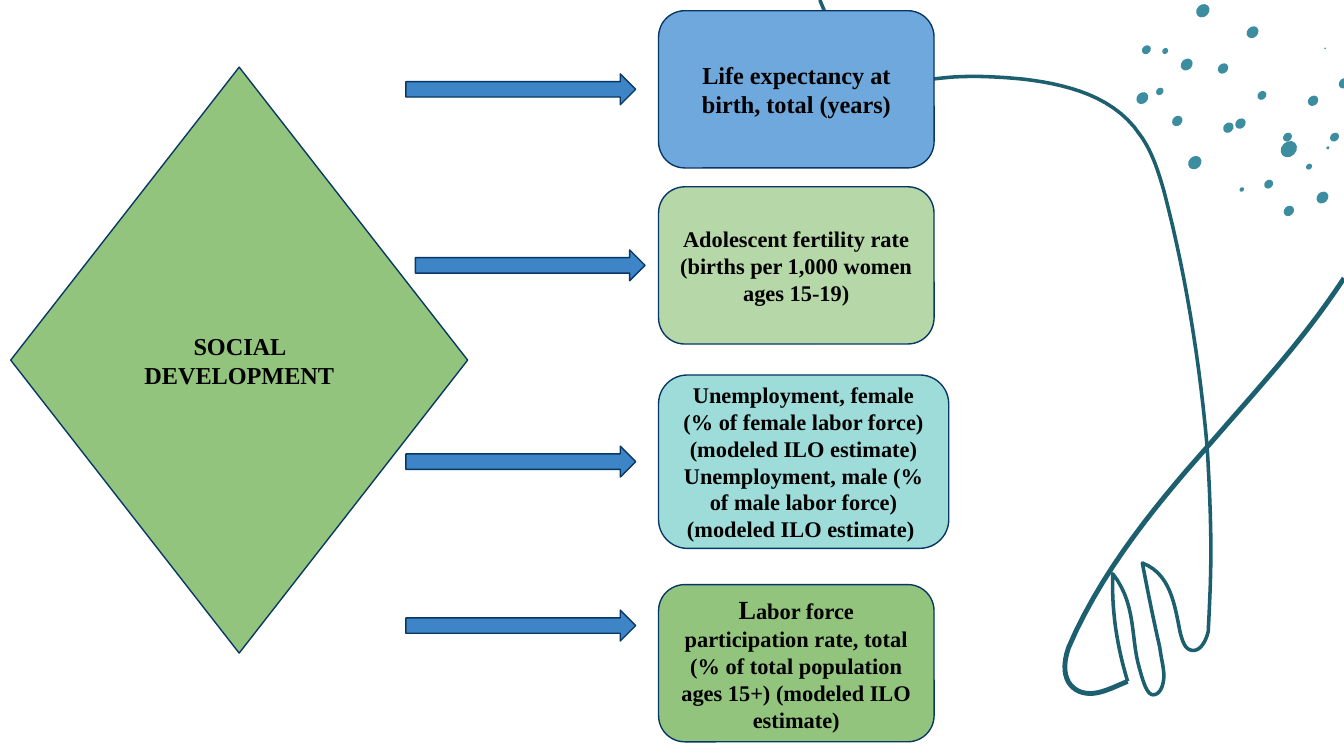
from pptx import Presentation
from pptx.dml.color import RGBColor
from pptx.enum.shapes import MSO_SHAPE
from pptx.enum.text import MSO_ANCHOR, PP_ALIGN
from pptx.util import Inches, Pt

DIAMOND = MSO_SHAPE.DIAMOND
ROUNDED = MSO_SHAPE.ROUNDED_RECTANGLE
ARROW = MSO_SHAPE.RIGHT_ARROW
OVAL = MSO_SHAPE.OVAL
MIDDLE = MSO_ANCHOR.MIDDLE
CENTER = PP_ALIGN.CENTER

BLACK = RGBColor(0x00, 0x00, 0x00)
NAVY = RGBColor(0x07, 0x37, 0x63)
GREEN = RGBColor(0x93, 0xC4, 0x7D)
PALE_GREEN = RGBColor(0xB6, 0xD7, 0xA8)
BLUE = RGBColor(0x6F, 0xA8, 0xDC)
AQUA = RGBColor(0x9E, 0xDC, 0xD9)
ARROW_BLUE = RGBColor(0x3D, 0x85, 0xC6)
DOT_TEAL = RGBColor(0x3C, 0x8D, 0xA0)
STROKE_TEAL = RGBColor(0x1C, 0x5F, 0x6F)

FONT = "Times New Roman"
CURVE_STEPS = 14
SLIDE_WIDTH = Inches(10)
SLIDE_HEIGHT = SLIDE_WIDTH * 9 // 16

DOTS = [
    (1.49, 1.11, 0.11), (1.64, 1.24, 0.04), (1.78, 1.1, 0.02),
    (1.83, 1.02, 0.06), (1.67, 0.75, 0.07), (1.48, 1.02, 0.06),
    (1.29, 0.71, 0.06), (1.13, 0.92, 0.07), (1.04, 0.95, 0.07),
    (1, 0.51, 0.07), (0.66, 0.9, 0.07), (0.73, 0.48, 0.08),
    (0.53, 0.68, 0.05), (0.4, 0.73, 0.08), (0.57, 0.38, 0.04),
    (0.43, 0.37, 0.06), (0.79, 1.21, 0.09), (1.76, 0.36, 0.01),
    (1.9, 0.62, 0.07), (1.74, 1.47, 0.08), (1.49, 1.57, 0.07),
    (1.34, 1.37, 0.06), (1.14, 1.41, 0.03), (1.22, 0.24, 0.08),
    (0.85, 0.08, 0.09),
]

RIBBON_START = (0.1, 0)
RIBBON = [
    ((0.15, 0.12), (0.19, 0.22), (0.22, 0.3)),
    ((0.29, 0.43), (0.37, 0.54), (0.48, 0.57)),
    ((0.6, 0.61), (0.75, 0.61), (1.02, 0.58)),
    ((1.2, 0.56), (1.42, 0.57), (1.62, 0.59)),
    ((1.95, 0.63), (2.29, 0.72), (2.48, 1)),
    ((2.57, 1.12), (2.62, 1.28), (2.66, 1.42)),
    ((2.82, 2.03), (2.92, 2.65), (2.98, 3.3)),
    ((3, 3.6), (3.01, 3.9), (3.01, 4.1)),
    ((3.01, 4.3), (3, 4.5), (2.99, 4.7)),
    ((2.97, 4.78), (2.93, 4.84), (2.88, 4.84)),
    ((2.82, 4.84), (2.8, 4.78), (2.78, 4.7)),
    ((2.74, 4.5), (2.71, 4.27), (2.5, 4.19)),
    ((2.54, 4.4), (2.58, 4.6), (2.63, 4.82)),
    ((2.64, 4.9), (2.66, 4.97), (2.66, 5.03)),
    ((2.66, 5.08), (2.64, 5.17), (2.58, 5.17)),
    ((2.53, 5.17), (2.5, 5.05), (2.48, 4.98)),
    ((2.41, 4.75), (2.46, 4.5), (2.28, 4.27)),
    ((2.27, 4.55), (2.31, 4.8), (2.39, 5.07)),
]
SWEEP_START = (2.39, 5.07)
SWEEP = [
    ((2.29, 5.11), (2.2, 5.16), (2.11, 5.16)),
    ((1.98, 5.16), (1.87, 5.05), (1.95, 4.82)),
    ((2.2, 4.23), (2.65, 3.7), (2.97, 3.34)),
    ((3.35, 2.9), (3.7, 2.53), (4, 2.07)),
]

INDICATORS = [
    (0, 2.05, 1.17, BLUE, 0, 0.47,
     [[("Life expectancy at birth, total (years)", 13)]]),
    (1.31, 2.05, 1.17, PALE_GREEN, 0.07, 1.78,
     [[("Adolescent fertility rate (births per 1,000 women ages 15-19)", 12)]]),
    (2.71, 2.16, 1.29, AQUA, 0, 3.24,
     [[("Unemployment, female (% of female labor force) (modeled ILO estimate)", 12)],
      [("Unemployment, male (% of male labor force) (modeled ILO estimate) ", 12)]]),
    (4.27, 2.05, 1.17, GREEN, 0, 4.46,
     [[("L", 14), ("abor force participation rate, total (% of total population "
                   "ages 15+) (modeled ILO estimate)", 12)]]),
]


def add_filled(slide, kind, left, top, width, height, fill, outline=None):
    shape = slide.shapes.add_shape(
        kind, Inches(left), Inches(top), Inches(width), Inches(height))
    shape.shadow.inherit = False
    shape.fill.solid()
    shape.fill.fore_color.rgb = fill
    if outline is None:
        shape.line.fill.background()
    else:
        shape.line.color.rgb = outline
        shape.line.width = Pt(0.75)
    return shape


def write_label(shape, paragraphs):
    frame = shape.text_frame
    frame.word_wrap = True
    frame.vertical_anchor = MIDDLE
    frame.margin_left = frame.margin_right = Inches(0.1)
    frame.margin_top = frame.margin_bottom = Inches(0.1)
    for index, pieces in enumerate(paragraphs):
        paragraph = frame.add_paragraph() if index else frame.paragraphs[0]
        paragraph.alignment = CENTER
        for wording, size in pieces:
            run = paragraph.add_run()
            run.text = wording
            run.font.name = FONT
            run.font.size = Pt(size)
            run.font.bold = True
            run.font.color.rgb = BLACK


def bezier_points(start, curves):
    points = [start]
    for control_1, control_2, end in curves:
        for step in range(1, CURVE_STEPS + 1):
            t = step / CURVE_STEPS
            u = 1 - t
            points.append(tuple(
                u**3 * a + 3 * u * u * t * b + 3 * u * t * t * c + t**3 * d
                for a, b, c, d in zip(start, control_1, control_2, end)))
        start = end
    return points


def add_stroke(slide, left, top, start, curves, weight):
    points = [(Inches(left + x), Inches(top + y))
              for x, y in bezier_points(start, curves)]
    builder = slide.shapes.build_freeform(*points[0], scale=1.0)
    builder.add_line_segments(points[1:], close=False)
    stroke = builder.convert_to_shape()
    stroke.shadow.inherit = False
    stroke.fill.background()
    stroke.line.color.rgb = STROKE_TEAL
    stroke.line.width = Pt(weight)


def add_dots(slide, left, top):
    for x, y, size in DOTS:
        length = size * 1.2
        dot = add_filled(slide, OVAL, left + x - length / 2, top + y - size / 2,
                         length, size, DOT_TEAL)
        dot.rotation = 315


def add_ribbon(slide, left, top):
    add_stroke(slide, left, top, RIBBON_START, RIBBON, 1.9)
    add_stroke(slide, left, top, SWEEP_START, SWEEP, 2.6)


def add_theme(slide, left, top, width, height):
    theme = add_filled(slide, DIAMOND, left, top, width, height, GREEN, NAVY)
    write_label(theme, [[("SOCIAL DEVELOPMENT", 13)]])


def add_indicators(slide, left, top):
    for y, width, height, fill, arrow_x, arrow_y, paragraphs in INDICATORS:
        indicator = add_filled(slide, ROUNDED, left + 1.88, top + y,
                               width, height, fill, NAVY)
        write_label(indicator, paragraphs)
        add_filled(slide, ARROW, left + arrow_x, top + arrow_y,
                   1.71, 0.23, ARROW_BLUE, NAVY)


def main():
    presentation = Presentation()
    presentation.slide_width = SLIDE_WIDTH
    presentation.slide_height = SLIDE_HEIGHT
    slide = presentation.slides.add_slide(presentation.slide_layouts[6])
    add_dots(slide, 8.1, 0)
    add_ribbon(slide, 6, 0)
    add_theme(slide, 0.08, 0.5, 3.4, 4.36)
    add_indicators(slide, 3.02, 0.08)
    presentation.save("out.pptx")


if __name__ == "__main__":
    main()
